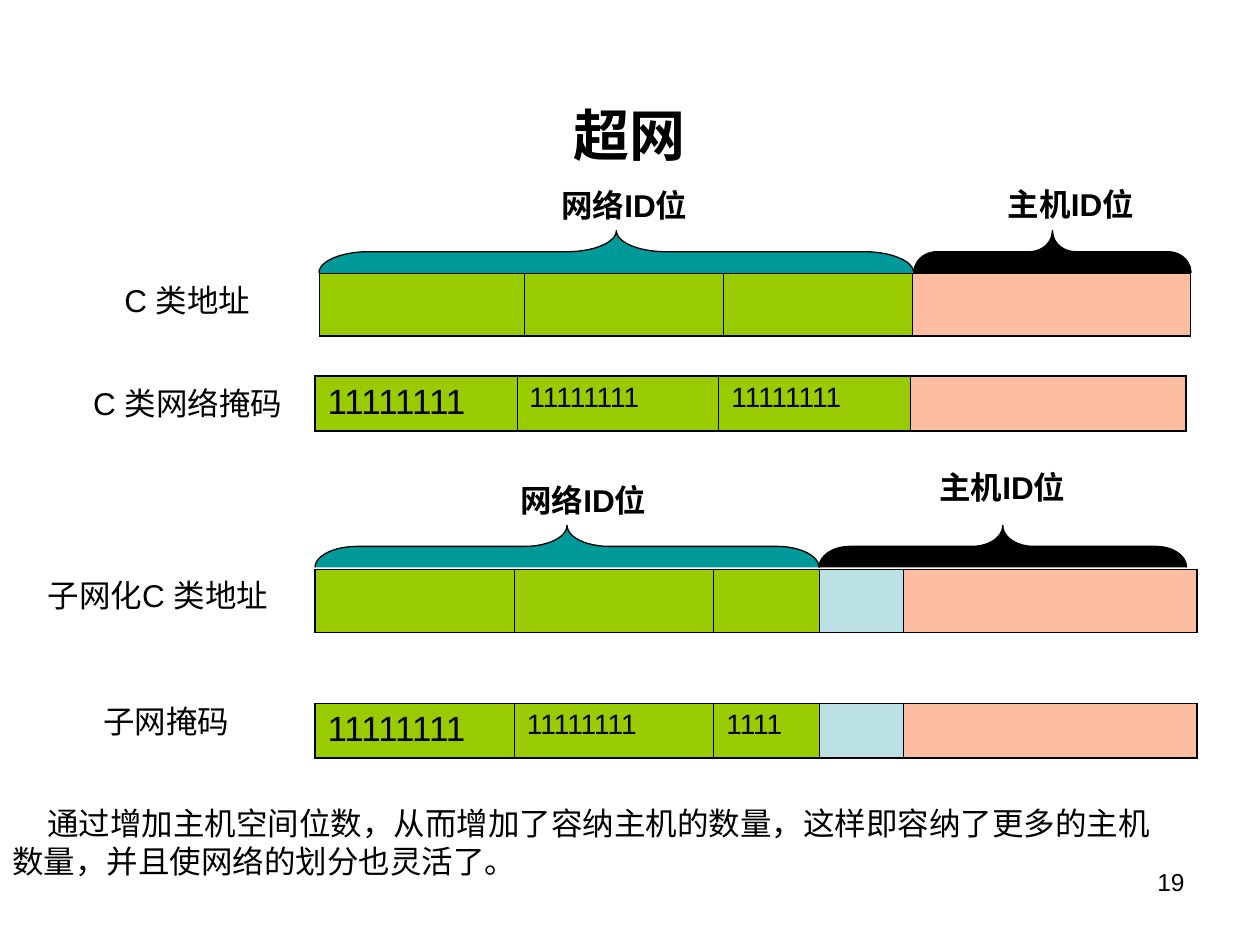
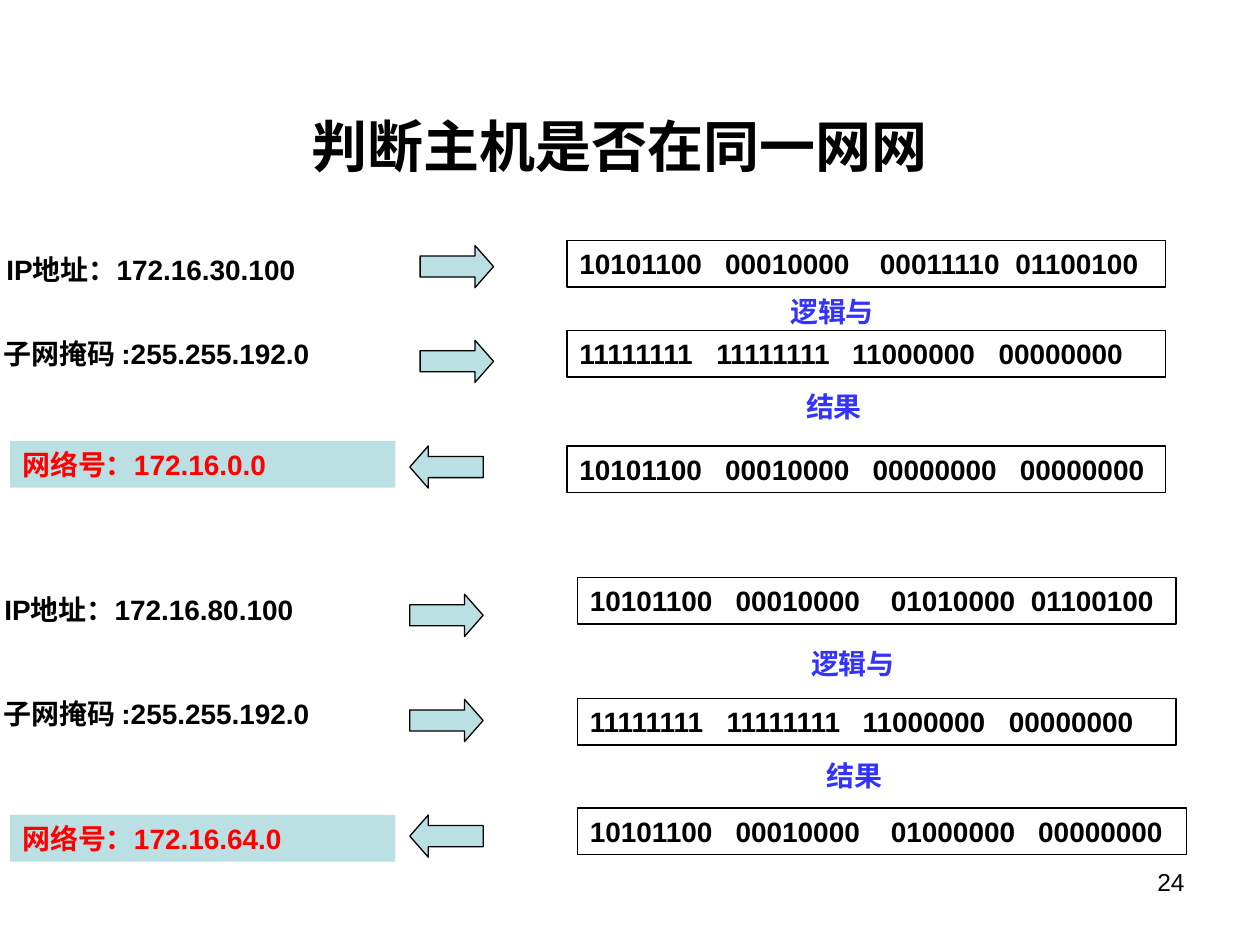
from dataclasses import dataclass

import pptx
import pptx.dml.color
import pptx.enum.shapes
import pptx.enum.text
import pptx.oxml
import pptx.oxml.ns
import pptx.shapes.autoshape
import pptx.slide
import pptx.text.text
import pptx.util
from pptx.util import Cm

COLOURS = {
    "ink": "000000",
    "network": "99CC00",
    "subnet": "BBE0E3",
    "host": "FDBDA1",
    "network brace": "009999",
    "operator": "3333FF",
    "result": "FF0000",
}
FONT = "Arial"
TITLE_ONLY = 5
LINE_HEIGHT = 0.94
LABEL_HEIGHT = 1.02
OPERATOR_WIDTH = 2.41
BRACE_HEIGHT = 0.85
BRACE_CURVE = 1 / 12
ARROW_SIZE = (1.48, 0.85)
OUTER_BORDER, INNER_BORDER = 1.08, 0.45


@dataclass
class Box:
    text: str
    left: float
    top: float
    width: float
    height: float = LINE_HEIGHT
    size: float = 16
    bold: bool = True
    colour: str = "ink"
    fill: str = ""
    outlined: bool = False
    wrap: bool = True
    align: str = "LEFT"
    first_indent: float = 0
    stops: tuple[float, ...] = ()


@dataclass
class Cell:
    width: float
    fill: str
    text: str = ""
    size: float = 16


@dataclass
class Strip:
    left: float
    top: float
    height: float
    cells: list[Cell]


@dataclass
class Brace:
    left: float
    top: float
    width: float
    fill: str


@dataclass
class Step:
    label: str
    label_top: float
    arrow_left: float
    arrow_top: float
    octets: str
    octets_left: float
    octets_top: float
    stops: tuple[float, ...]
    label_left: float = -0.18
    octets_width: float = 12.07
    is_result: bool = False


def colour_of(name: str) -> pptx.dml.color.RGBColor:
    return pptx.dml.color.RGBColor.from_string(COLOURS[name])


def style(para: pptx.text.text._Paragraph, size: float, bold: bool, colour: str) -> None:
    para.font.name = FONT
    para.font.size = pptx.util.Pt(size)
    para.font.bold = bold
    para.font.color.rgb = colour_of(colour)


def paint(shape: pptx.shapes.autoshape.Shape, fill: str, outlined: bool) -> None:
    shape.shadow.inherit = False
    if fill:
        shape.fill.solid()
        shape.fill.fore_color.rgb = colour_of(fill)
    else:
        shape.fill.background()
    if outlined:
        shape.line.color.rgb = colour_of("ink")
        shape.line.width = pptx.util.Pt(0.75)
    else:
        shape.line.fill.background()


def add_tab_stops(para: pptx.text.text._Paragraph, stops: tuple[float, ...]) -> None:
    tab_list = pptx.oxml.parse_xml(f"<a:tabLst {pptx.oxml.ns.nsdecls('a')}/>")
    for stop in stops:
        tab_list.append(pptx.oxml.parse_xml(
            f"<a:tab {pptx.oxml.ns.nsdecls('a')} pos='{Cm(stop)}' algn='l'/>"))
    para._p.get_or_add_pPr().append(tab_list)


def draw_box(page: pptx.slide.Slide, box: Box) -> None:
    place = [Cm(length) for length in (box.left, box.top, box.width, box.height)]
    if box.fill or box.outlined:
        shape = page.shapes.add_shape(pptx.enum.shapes.MSO_SHAPE.RECTANGLE, *place)
        paint(shape, box.fill, box.outlined)
    else:
        shape = page.shapes.add_textbox(*place)
    frame = shape.text_frame
    frame.word_wrap = box.wrap
    frame.vertical_anchor = pptx.enum.text.MSO_ANCHOR.TOP
    frame.text = box.text
    para = frame.paragraphs[0]
    para.alignment = pptx.enum.text.PP_ALIGN[box.align]
    if box.first_indent:
        para._p.get_or_add_pPr().set("indent", str(Cm(box.first_indent)))
    if box.stops:
        add_tab_stops(para, box.stops)
    style(para, box.size, box.bold, box.colour)


def add_page(deck: pptx.presentation.Presentation, title: str, number: int,
             left: float, top: float, height: float) -> pptx.slide.Slide:
    """Add a page with a centred title and its page number."""
    page = deck.slides.add_slide(deck.slide_layouts[TITLE_ONLY])
    heading = page.shapes.title
    heading.left, heading.top = Cm(left), Cm(top)
    heading.width, heading.height = Cm(22.86), Cm(height)
    frame = heading.text_frame
    frame.text = title
    frame.auto_size = pptx.enum.text.MSO_AUTO_SIZE.NONE
    frame.vertical_anchor = pptx.enum.text.MSO_ANCHOR.TOP
    frame.paragraphs[0].alignment = pptx.enum.text.PP_ALIGN.CENTER
    style(frame.paragraphs[0], 32, True, "ink")
    draw_box(page, Box(str(number), 18.21, 17.35, 5.92, 1.32, size=14, bold=False,
                       align="RIGHT"))
    return page


def add_border(cell: pptx.table._Cell, side: str, width: float) -> None:
    cell._tc.get_or_add_tcPr().append(pptx.oxml.parse_xml(
        f"<a:ln{side} {pptx.oxml.ns.nsdecls('a')} w='{pptx.util.Pt(width)}'><a:solidFill>"
        f"<a:srgbClr val='{COLOURS['ink']}'/></a:solidFill></a:ln{side}>"))


def draw_strip(page: pptx.slide.Slide, strip: Strip) -> None:
    """Draw an address as a one-row table with a heavier outer border."""
    count = len(strip.cells)
    total = sum(cell.width for cell in strip.cells)
    table = page.shapes.add_table(1, count, Cm(strip.left), Cm(strip.top),
                                  Cm(total), Cm(strip.height)).table
    table.first_row = table.horz_banding = False
    for index, part in enumerate(strip.cells):
        table.columns[index].width = Cm(part.width)
        cell = table.cell(0, index)
        add_border(cell, "L", OUTER_BORDER if index == 0 else INNER_BORDER)
        add_border(cell, "R", OUTER_BORDER if index == count - 1 else INNER_BORDER)
        add_border(cell, "T", OUTER_BORDER)
        add_border(cell, "B", OUTER_BORDER)
        cell.fill.solid()
        cell.fill.fore_color.rgb = colour_of(part.fill)
        cell.text = part.text
        style(cell.text_frame.paragraphs[0], part.size, False, "ink")


def draw_brace(page: pptx.slide.Slide, brace: Brace) -> None:
    """Draw a left brace turned so that its tip points up."""
    left = brace.left + (brace.width - BRACE_HEIGHT) / 2
    top = brace.top - (brace.width - BRACE_HEIGHT) / 2
    shape = page.shapes.add_shape(pptx.enum.shapes.MSO_SHAPE.LEFT_BRACE, Cm(left), Cm(top),
                                  Cm(BRACE_HEIGHT), Cm(brace.width))
    shape.rotation = 90
    shape.adjustments[0] = BRACE_CURVE * brace.width / BRACE_HEIGHT
    paint(shape, brace.fill, True)


def draw_step(page: pptx.slide.Slide, step: Step) -> None:
    """Draw a decimal label, an arrow and the matching binary octets."""
    if step.is_result:
        draw_box(page, Box(step.label, 0.2, step.label_top, 7.77, colour="result",
                           fill="subnet"))
    else:
        draw_box(page, Box(step.label, step.label_left, step.label_top, 8.43))
    arrow = page.shapes.add_shape(pptx.enum.shapes.MSO_SHAPE.RIGHT_ARROW,
                                  Cm(step.arrow_left), Cm(step.arrow_top),
                                  *map(Cm, ARROW_SIZE))
    arrow.adjustments[0], arrow.adjustments[1] = 0.5, 0.44
    arrow.rotation = 180 if step.is_result else 0
    paint(arrow, "subnet", True)
    draw_box(page, Box("\t".join(step.octets.split()), step.octets_left, step.octets_top,
                       step.octets_width, outlined=True, stops=step.stops))


def class_c_cells(widths: tuple[float, ...], texts: tuple[str, ...] = ("", "", "")) -> list[Cell]:
    """Three network cells, then an optional subnet cell, then the host cell."""
    fills = ["network"] * 3 + ["subnet"] * (len(widths) - 4) + ["host"]
    labels = [*texts] + [""] * (len(widths) - 3)
    cells = [Cell(*values) for values in zip(widths, fills, labels)]
    if texts[0]:
        cells[0].size = 20
    return cells


def build_supernet(deck: pptx.presentation.Presentation) -> None:
    page = add_page(deck, "超网", 19, 1.27, 1.9, 1.35)
    subnet_widths = (4.02, 4.02, 2.12, 1.7, 5.92)
    full = "1" * 8
    for strip in (
        Strip(6.44, 5.51, 1.27, class_c_cells((4.14, 4.01, 3.81, 5.6))),
        Strip(6.35, 7.58, 1.1, class_c_cells((4.07, 4.07, 3.86, 5.56), (full, full, full))),
        Strip(6.35, 11.48, 1.27, class_c_cells(subnet_widths)),
        Strip(6.35, 14.18, 1.1, class_c_cells(subnet_widths, (full, full, "1111"))),
    ):
        draw_strip(page, strip)

    for brace in (
        Brace(6.43, 4.65, 11.99, "network brace"),
        Brace(18.42, 4.65, 5.59, "ink"),
        Brace(6.35, 10.59, 10.16, "network brace"),
        Brace(16.51, 10.59, 7.41, "ink"),
    ):
        draw_brace(page, brace)

    for text, left, top in (
        ("网络ID位", 11.07, 3.63),
        ("主机ID位", 20.07, 3.61),
        ("网络ID位", 10.24, 9.58),
        ("主机ID位", 18.69, 9.32),
    ):
        draw_box(page, Box(text, left, top, 3.35, LABEL_HEIGHT, size=18, wrap=False))

    for text, left, top, width in (
        ("C 类地址", 2.26, 5.54, 3.2),
        ("C 类网络掩码", 1.63, 7.62, 4.47),
        ("子网化C 类地址", 0.71, 11.48, 5.26),
        ("子网掩码", 1.83, 14.02, 3.05),
    ):
        draw_box(page, Box(text, left, top, width, LABEL_HEIGHT, size=18, bold=False,
                           wrap=False))

    draw_box(page, Box(
        "通过增加主机空间位数，从而增加了容纳主机的数量，这样即容纳了更多的主机数量，"
        "并且使网络的划分也灵活了。",
        0, 16.08, 23.93, 1.78, size=18, bold=False, first_indent=0.7))


def build_same_network(deck: pptx.presentation.Presentation) -> None:
    page = add_page(deck, "判断主机是否在同一网网", 24, 1.06, 2.12, 1.7)
    mask = "子网掩码 :255.255.192.0"
    mask_octets = "11111111 11111111 11000000 00000000"
    mask_stops = (2.76, 5.5, 8.45)
    for step in (
        Step("IP地址：172.16.30.100", 4.96, 8.47, 4.95,
             "10101100 00010000 00011110 01100100", 11.43, 4.85, (2.94, 6.06, 8.79),
             label_left=-0.12),
        Step(mask, 6.65, 8.47, 6.86, mask_octets, 11.43, 6.66, mask_stops),
        Step("网络号：172.16.0.0", 8.89, 8.26, 8.99,
             "10101100 00010000 00000000 00000000", 11.43, 8.99, (2.94, 5.91, 8.88),
             is_result=True),
        Step("IP地址：172.16.80.100", 11.82, 8.26, 11.98,
             "10101100 00010000 01010000 01100100", 11.64, 11.64, (2.94, 6.07, 8.89),
             label_left=-0.16),
        Step(mask, 13.92, 8.26, 14.1, mask_octets, 11.64, 14.08, mask_stops),
        Step("网络号：172.16.64.0", 16.43, 8.26, 16.43,
             "10101100 00010000 01000000 00000000", 11.64, 16.29, (2.94, 6.07, 9.04),
             octets_width=12.28, is_result=True),
    ):
        draw_step(page, step)

    for text, left, top in (
        ("逻辑与", 15.68, 5.82),
        ("结果", 16, 7.72),
        ("逻辑与", 16.1, 12.9),
        ("结果", 16.42, 15.16),
    ):
        draw_box(page, Box(text, left, top, OPERATOR_WIDTH, colour="operator"))


def main() -> None:
    deck = pptx.Presentation()
    deck.slide_width, deck.slide_height = Cm(25.4), Cm(19.05)
    build_supernet(deck)
    build_same_network(deck)
    deck.save("out.pptx")


if __name__ == "__main__":
    main()
